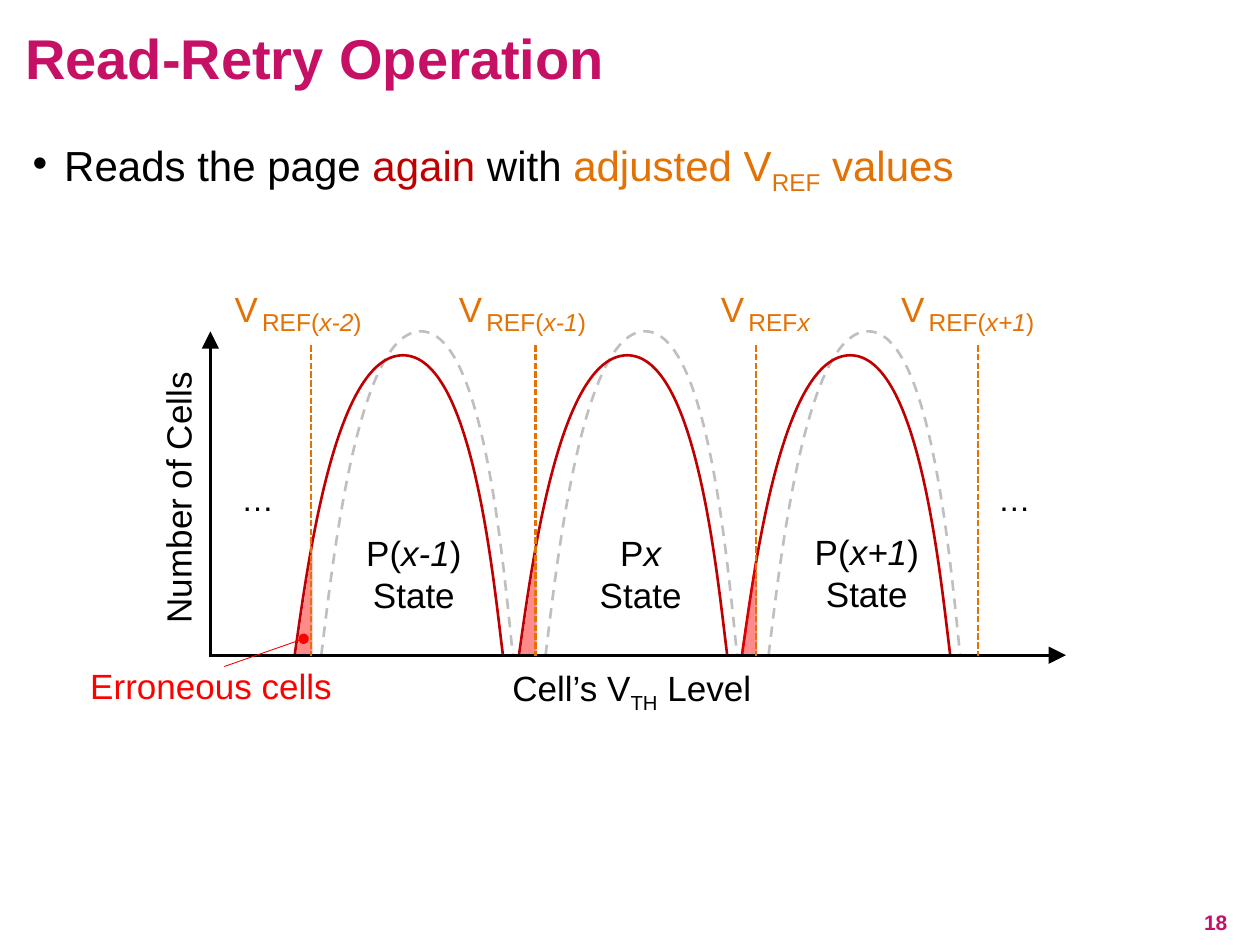
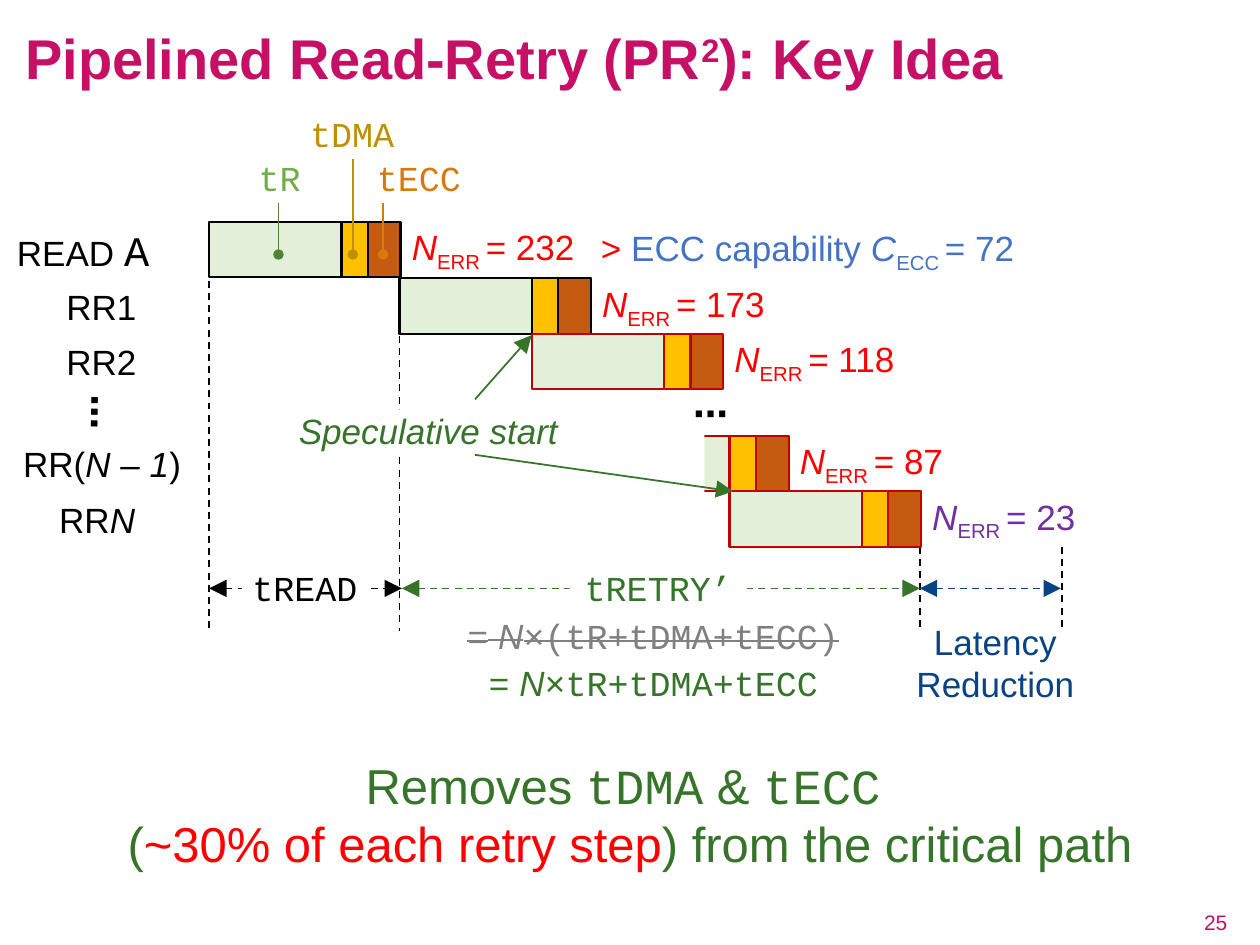
"""Builds two slides on read-retry operations and their pipelining."""
from dataclasses import dataclass
from itertools import accumulate
from typing import NamedTuple, Optional

from lxml import etree
from pptx import Presentation
from pptx.dml.color import RGBColor
from pptx.enum.dml import MSO_LINE
from pptx.enum.shapes import MSO_CONNECTOR, MSO_SHAPE
from pptx.enum.text import MSO_ANCHOR, MSO_AUTO_SIZE, PP_ALIGN
from pptx.oxml.ns import qn
from pptx.util import Inches, Pt

LEFT, CENTER, RIGHT = PP_ALIGN.LEFT, PP_ALIGN.CENTER, PP_ALIGN.RIGHT
MIDDLE, TOP = MSO_ANCHOR.MIDDLE, MSO_ANCHOR.TOP
DASH, FINE_DASH = MSO_LINE.DASH, MSO_LINE.SQUARE_DOT
RECTANGLE, TRIANGLE = MSO_SHAPE.RECTANGLE, MSO_SHAPE.ISOSCELES_TRIANGLE

BLACK = RGBColor(0x00, 0x00, 0x00)
WHITE = RGBColor(0xFF, 0xFF, 0xFF)
GRAY = RGBColor(0x80, 0x80, 0x80)
PALE_GRAY = RGBColor(0xBF, 0xBF, 0xBF)
MAGENTA = RGBColor(0xC6, 0x10, 0x65)
RED = RGBColor(0xFF, 0x00, 0x00)
DARK_RED = RGBColor(0xC0, 0x00, 0x00)
ORANGE = RGBColor(0xE4, 0x71, 0x03)
GREEN = RGBColor(0x35, 0x74, 0x29)
LEAF = RGBColor(0x70, 0xAD, 0x47)
MOSS = RGBColor(0x54, 0x82, 0x35)
OCHRE = RGBColor(0xBF, 0x90, 0x00)
AMBER = RGBColor(0xD7, 0x7A, 0x0B)
BLUE = RGBColor(0x44, 0x72, 0xC4)
NAVY = RGBColor(0x08, 0x44, 0x83)
PURPLE = RGBColor(0x70, 0x30, 0xA0)
SENSE_FILL = RGBColor(0xE2, 0xF0, 0xD9)
DMA_FILL = RGBColor(0xFF, 0xC0, 0x00)
ECC_FILL = RGBColor(0xC5, 0x5A, 0x11)

SANS, MONO, SYMBOL = "Arial", "Courier New", "Calibri"
NO_INSETS = (0, 0, 0, 0)
WIDE_INSETS = (0.1, 0.05, 0.1, 0.05)
LEFT_INSET = (0.08, 0, 0, 0)

Box = tuple[float, float, float, float]
Point = tuple[float, float]


class Run(NamedTuple):
    """A piece of text with the format that differs from its box."""
    text: str
    color: Optional[RGBColor] = None
    font: Optional[str] = None
    size: Optional[float] = None
    italic: bool = False
    baseline: int = 0


Lines = list[list[Run]]
BREAK = Run("\n")


@dataclass
class State:
    """One threshold-voltage state under its bell curve."""
    curve_left: float
    reference_x: float
    label_box: Box
    name: list[Run]
    label_fill: Optional[RGBColor] = None


@dataclass
class Step:
    """One read or retry step of the pipeline."""
    left: float
    top: float
    outline: RGBColor
    errors: int
    errors_color: RGBColor = RED


def sub(text: str) -> Run:
    """Returns a subscript run."""
    return Run(text, baseline=-25)


def ital(text: str) -> Run:
    """Returns an italic run."""
    return Run(text, italic=True)


def write(frame, lines: Lines, *, size: float = 20, font: str = SANS, color: RGBColor = BLACK,
          bold: bool = False, strike: bool = False, align=CENTER, anchor=MIDDLE,
          insets: Box = NO_INSETS, spacing: float = 1.0) -> None:
    """Writes lines of runs into a text frame."""
    frame.word_wrap = True
    frame.auto_size = MSO_AUTO_SIZE.NONE
    frame.vertical_anchor = anchor
    (frame.margin_left, frame.margin_top,
     frame.margin_right, frame.margin_bottom) = map(Inches, insets)
    for index, line in enumerate(lines):
        paragraph = frame.add_paragraph() if index else frame.paragraphs[0]
        paragraph.alignment = align
        paragraph.line_spacing = spacing
        paragraph.space_before = Pt(0)
        for part in line:
            if part == BREAK:
                paragraph.add_line_break()
                continue
            run = paragraph.add_run()
            run.text = part.text
            run.font.name = part.font or font
            run.font.size = Pt(part.size or size)
            run.font.color.rgb = part.color or color
            run.font.bold, run.font.italic = bold, part.italic
            properties = run._r.get_or_add_rPr()
            if part.baseline:
                properties.set("baseline", str(part.baseline * 1000))
            if strike:
                properties.set("strike", "sngStrike")


def place(shape, box: Box) -> None:
    """Moves a shape to a box."""
    shape.left, shape.top, shape.width, shape.height = map(Inches, box)


def add_block(slide, box: Box, fill: RGBColor, outline: Optional[RGBColor] = None, kind=RECTANGLE):
    """Adds a filled preset shape."""
    block = slide.shapes.add_shape(kind, *map(Inches, box))
    block.shadow.inherit = False
    block.fill.solid()
    block.fill.fore_color.rgb = fill
    if outline is None:
        block.line.fill.background()
    else:
        block.line.color.rgb = outline
        block.line.width = Pt(1.25)
    return block


def add_text(slide, box: Box, lines: Lines, fill: Optional[RGBColor] = None,
             rotation: float = 0, **text_format) -> None:
    """Adds a text box, or a filled rectangle with text if a fill is given."""
    if fill is None:
        holder = slide.shapes.add_textbox(*map(Inches, box))
    else:
        holder = add_block(slide, box, fill)
    holder.rotation = rotation
    write(holder.text_frame, lines, **text_format)


def add_line(slide, start: Point, end: Point, color: RGBColor, width: float = 1,
             dash=None, head: str = "none", tail: str = "none") -> None:
    """Adds a straight connector with optional dashes and ends."""
    line = slide.shapes.add_connector(MSO_CONNECTOR.STRAIGHT, *map(Inches, start + end))
    line.line.color.rgb = color
    line.line.width = Pt(width)
    if dash is not None:
        line.line.dash_style = dash
    outline = line.line._get_or_add_ln()
    for tag, end_type in (("a:headEnd", head), ("a:tailEnd", tail)):
        line_end = etree.SubElement(outline, qn(tag), type=end_type)
        if end_type == "triangle":
            line_end.set("w", "lg")
            line_end.set("len", "lg")
    etree.SubElement(line._element.spPr, qn("a:effectLst"))


def add_bell(slide, box: Box, color: RGBColor, dash=None) -> None:
    """Adds an open bell curve made of two cubic arcs."""
    arcs = (((0.06, 0.71), (0.19, 0), (0.52, 0)), ((0.85, 0), (0.95, 0.72), (1, 1)))
    left, top, width, height = map(Inches, box)
    corners = [(left + int(width * arc[-1][0]), top + int(height * arc[-1][1])) for arc in arcs]
    builder = slide.shapes.build_freeform(left, top + height)
    builder.add_line_segments(corners, close=False)
    bell = builder.convert_to_shape()
    segments = list(bell._element.iter(qn("a:lnTo")))
    for segment, arc in zip(segments, arcs):
        curve = etree.Element(qn("a:cubicBezTo"))
        for x, y in arc:
            etree.SubElement(curve, qn("a:pt"), x=str(int(width * x)), y=str(int(height * y)))
        segment.getparent().replace(segment, curve)
    bell.shadow.inherit = False
    bell.fill.background()
    bell.line.color.rgb = color
    bell.line.width = Pt(1.5)
    if dash is not None:
        bell.line.dash_style = dash


def start_slide(deck, layout: int, title: list[Run], number: int, bold_number: bool):
    """Adds a slide with its title and page number."""
    slide = deck.slides.add_slide(deck.slide_layouts[layout])
    place(slide.shapes.title, (0, 0, 10, 0.89))
    write(slide.shapes.title.text_frame, [title], size=32, color=MAGENTA, bold=True,
          align=LEFT, insets=(0.2, 0.08, 0.2, 0), spacing=0.9)
    add_text(slide, (7.6, 7.12, 2.24, 0.4), [[Run(str(number))]], size=12, color=MAGENTA,
             bold=bold_number, align=RIGHT, insets=WIDE_INSETS)
    return slide


def add_bullet_list(slide, lines: Lines) -> None:
    """Fills the body placeholder with bulleted lines."""
    body = slide.placeholders[1]
    place(body, (0.16, 1.06, 9.67, 5.89))
    write(body.text_frame, lines, size=24, align=LEFT, anchor=TOP, insets=WIDE_INSETS, spacing=0.9)
    for paragraph in body.text_frame.paragraphs:
        properties = paragraph._p.get_or_add_pPr()
        properties.set("marL", str(Inches(0.25)))
        properties.set("indent", str(-Inches(0.25)))
        color = etree.SubElement(properties, qn("a:buClr"))
        etree.SubElement(color, qn("a:srgbClr"), val=str(BLACK))
        etree.SubElement(properties, qn("a:buFont"), typeface=SANS)
        etree.SubElement(properties, qn("a:buChar"), char="•")


def build_read_retry(deck) -> None:
    """Builds the slide on the read-retry operation."""
    slide = start_slide(deck, 1, [Run("Read-Retry Operation")], 18, True)
    add_bullet_list(slide, [[Run("Reads the page "), Run("again", DARK_RED), Run(" with "),
                             Run("adjusted V", ORANGE), Run("REF", ORANGE, baseline=-25),
                             Run(" values", ORANGE)]])
    states = [
        State(2.34, 2.47, (2.65, 4.22, 1.27, 0.67), [Run("P("), ital("x-1"), Run(")")]),
        State(4.12, 4.25, (4.45, 4.22, 1.27, 0.67), [Run("P"), ital("x")]),
        State(5.89, 6.0, (6.31, 4.21, 1.14, 0.67), [Run("P("), ital("x+1"), Run(")")], WHITE),
    ]
    axis_y = 5.2
    for left, width in ((1.41, 1.27), (7.44, 1.22)):
        add_text(slide, (left, 3.63, width, 0.36), [[sub("…")]], size=32)
    add_text(slide, (-0.34, 3.78, 3.5, 0.34), [[Run("Number of Cells")]], rotation=270)
    add_text(slide, (3.88, 5.31, 2.27, 0.34), [[Run("Cell’s V"), sub("TH"), Run(" Level")]])
    add_line(slide, (1.67, axis_y), (1.67, 2.63), BLACK, 1.5, tail="triangle")
    for state in states:
        add_bell(slide, (state.curve_left + 0.21, 2.63, 1.52, 2.57), PALE_GRAY, DASH)
        add_text(slide, state.label_box, [state.name + [BREAK, Run("State")]], state.label_fill)
    add_line(slide, (1.66, axis_y), (8.46, axis_y), BLACK, 1.5, tail="triangle")
    for state in states:
        add_bell(slide, (state.curve_left, 2.82, 1.65, 2.37), DARK_RED)
        error_area = add_block(slide, (state.reference_x - 0.12, 4.34, 0.13, 0.85), RED, kind=TRIANGLE)
        error_area.adjustments[0] = 1.0
        fill_color = error_area.fill._xPr.find(".//" + qn("a:srgbClr"))
        etree.SubElement(fill_color, qn("a:alpha"), val="46000")
    for reference_x in [state.reference_x for state in states] + [7.76]:
        add_line(slide, (reference_x, 2.74), (reference_x, 5.21), ORANGE, 1.25, FINE_DASH)
    references = [(1.6, "REF(", "x-2", ")"), (3.38, "REF(", "x-1", ")"),
                  (5.46, "REF", "x", ""), (6.89, "REF(", "x+1", ")")]
    for left, prefix, index, suffix in references:
        add_text(slide, (left, 2.28, 0.71, 0.34), [[Run("V")]], color=ORANGE)
        subscript = [Run(prefix), ital(index)] + ([Run(suffix)] if suffix else [])
        add_text(slide, (left + 0.48, 2.43, 1.26, 0.24), [subscript], size=14, color=ORANGE, align=LEFT)
    add_text(slide, (0.33, 5.22, 2.69, 0.44), [[Run("Erroneous cells")]], color=RED, insets=WIDE_INSETS)
    add_line(slide, (1.78, 5.29), (2.41, 5.07), RED, 0.5, tail="oval")


def add_step(slide, step: Step) -> None:
    """Draws the three phases of a step and its error count."""
    widths = (1.05, 0.21, 0.26)
    for offset, width, fill in zip(accumulate(widths, initial=0), widths, (SENSE_FILL, DMA_FILL, ECC_FILL)):
        add_block(slide, (step.left + offset, step.top, width, 0.44), fill, step.outline)
    add_text(slide, (step.left + 1.51, step.top, 1.7, 0.44),
             [[ital("N"), sub("ERR "), Run(f"= {step.errors}")]],
             color=step.errors_color, align=LEFT, insets=WIDE_INSETS)


def build_pipelined_retry(deck) -> None:
    """Builds the slide on pipelined read-retry."""
    title = [Run("Pipelined Read-Retry (PR"), Run("2", baseline=30), Run("): Key Idea")]
    slide = start_slide(deck, 5, title, 25, False)
    row_labels = [((-0.3, 1.78, 1.84, 0.4), [Run("READ "), Run("A", font=MONO, size=24)]),
                  ((-0.13, 2.26, 1.79, 0.34), [Run("RR1")]),
                  ((-0.13, 2.7, 1.79, 0.34), [Run("RR2")]),
                  ((-0.67, 3.51, 2.88, 0.34), [Run("RR("), ital("N – 1"), Run(")")]),
                  ((-0.67, 3.95, 2.88, 0.34), [Run("RR"), ital("N ")])]
    for box, label in row_labels:
        add_text(slide, box, [label], insets=LEFT_INSET)
    for box, rotation in (((0.55, 2.94, 0.43, 0.67), 91), ((5.44, 3.06, 0.4, 0.43), 0)):
        add_text(slide, box, [[Run("⋯")]], font=SYMBOL, bold=True, rotation=rotation)
    for x, top, bottom in ((1.66, 2.23, 5.01), (3.17, 2.28, 5.01), (7.3, 4.34, 4.98), (8.43, 4.34, 4.98)):
        add_line(slide, (x, top), (x, bottom), BLACK, dash=DASH)
    for step in (Step(1.66, 1.76, BLACK, 232), Step(3.17, 2.21, BLACK, 173),
                 Step(4.22, 2.65, DARK_RED, 118), Step(5.79, 3.9, DARK_RED, 23, PURPLE),
                 Step(4.74, 3.46, DARK_RED, 87)):
        add_step(slide, step)
    add_block(slide, (4.7, 3.41, 0.89, 0.54), WHITE)
    add_text(slide, (4.36, 1.77, 4.1, 0.44),
             [[Run("> ", RED), Run("ECC capability "), ital("C"), sub("ECC "), Run("= 72")]],
             color=BLUE, insets=WIDE_INSETS)
    phases = [("tR", (0.93, 1.24, 2.58, 0.34), LEAF, MOSS, (2.21, 1.61), NO_INSETS),
              ("tECC", (2.75, 1.24, 1.07, 0.34), AMBER, AMBER, (3.04, 1.61), LEFT_INSET),
              ("tDMA", (1.08, 0.89, 3.43, 0.34), OCHRE, OCHRE, (2.8, 1.26), NO_INSETS)]
    for phase, box, color, leader_color, leader_top, insets in phases:
        add_text(slide, box, [[Run(phase)]], font=MONO, color=color, insets=insets)
        add_line(slide, leader_top, (leader_top[0], 2.02), leader_color, tail="oval")
    for left, right, color in ((1.66, 3.19, BLACK), (3.19, 7.3, GREEN), (7.3, 8.42, NAVY)):
        add_line(slide, (left, 4.67), (right, 4.67), color, dash=DASH, head="triangle", tail="triangle")
    add_text(slide, (1.92, 4.49, 1, 0.34), [[Run("tREAD")]], WHITE, font=MONO)
    add_text(slide, (4.52, 4.49, 1.41, 0.34), [[Run("tRETRY’")]], WHITE, font=MONO, color=GREEN)
    for top, sum_text, color, strike in ((4.87, "×(tR+tDMA+tECC)", GRAY, True),
                                         (5.25, "×tR+tDMA+tECC", GREEN, False)):
        formula = [ital("="), Run(" N", font=SANS, italic=True), Run(sum_text)]
        add_text(slide, (3.34, top, 3.69, 0.34), [formula], WHITE, font=MONO, color=color, strike=strike)
    add_text(slide, (6.42, 4.92, 2.88, 0.67), [[Run("Latency")], [Run("Reduction")]],
             color=NAVY, insets=LEFT_INSET)
    add_text(slide, (2.17, 3.25, 2.38, 0.34), [[ital("Speculative start")]], WHITE,
             color=GREEN, insets=LEFT_INSET)
    for start, end in (((3.77, 3.17), (4.22, 2.66)), ((3.77, 3.61), (5.82, 3.9))):
        add_line(slide, start, end, GREEN, tail="triangle")
    add_text(slide, (0.03, 5.94, 9.94, 1.04),
             [[Run("Removes "), Run("tDMA", font=MONO), Run(" & "), Run("tECC", font=MONO), Run(" ")],
              [Run("("), Run("~30% of each retry step", RED), Run(") from the critical path")]],
             size=28, color=GREEN, insets=WIDE_INSETS)


def main() -> None:
    """Builds and saves the deck."""
    deck = Presentation()
    deck.slide_width, deck.slide_height = Inches(10), Inches(7.5)
    build_read_retry(deck)
    build_pipelined_retry(deck)
    deck.save("out.pptx")


if __name__ == "__main__":
    main()
